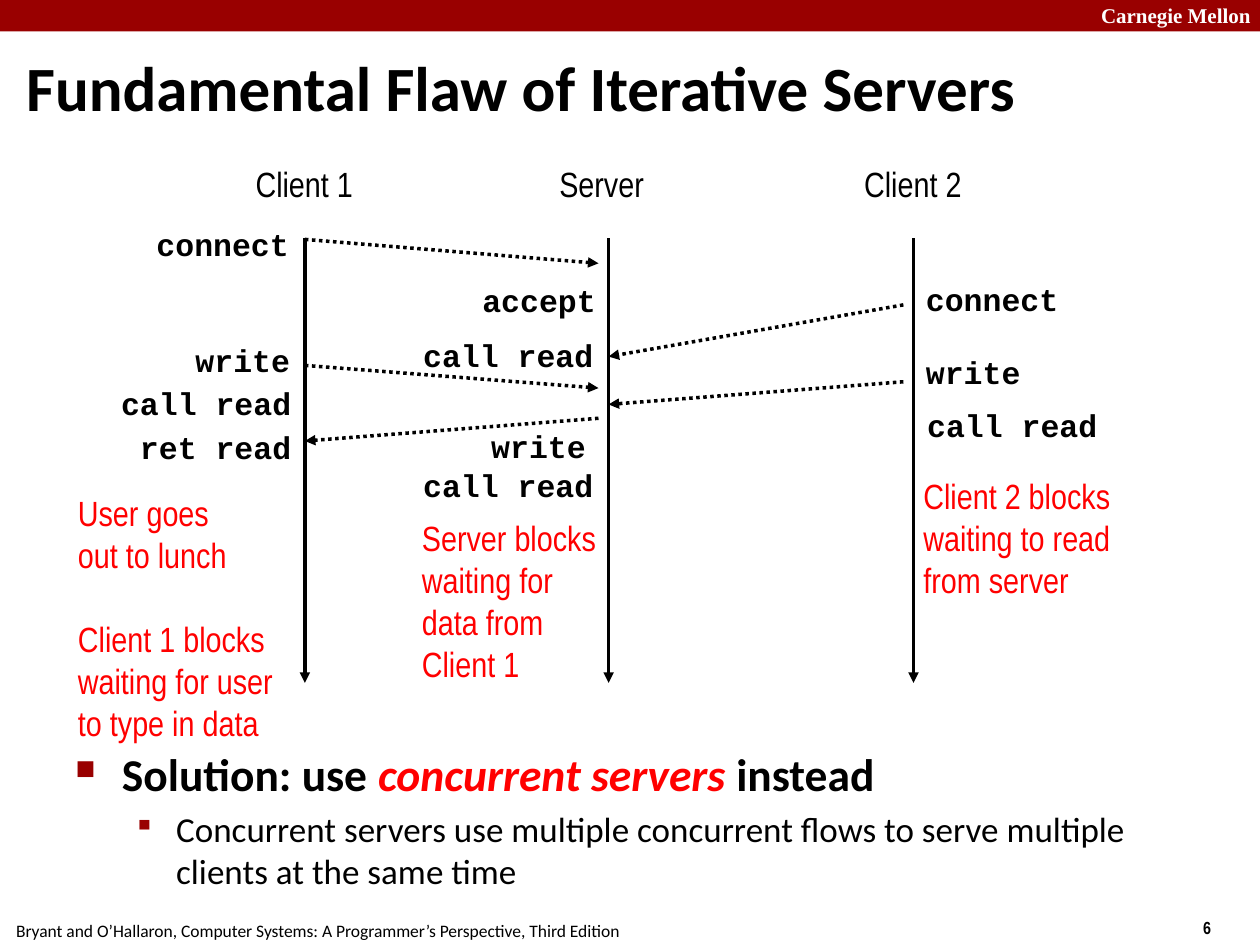
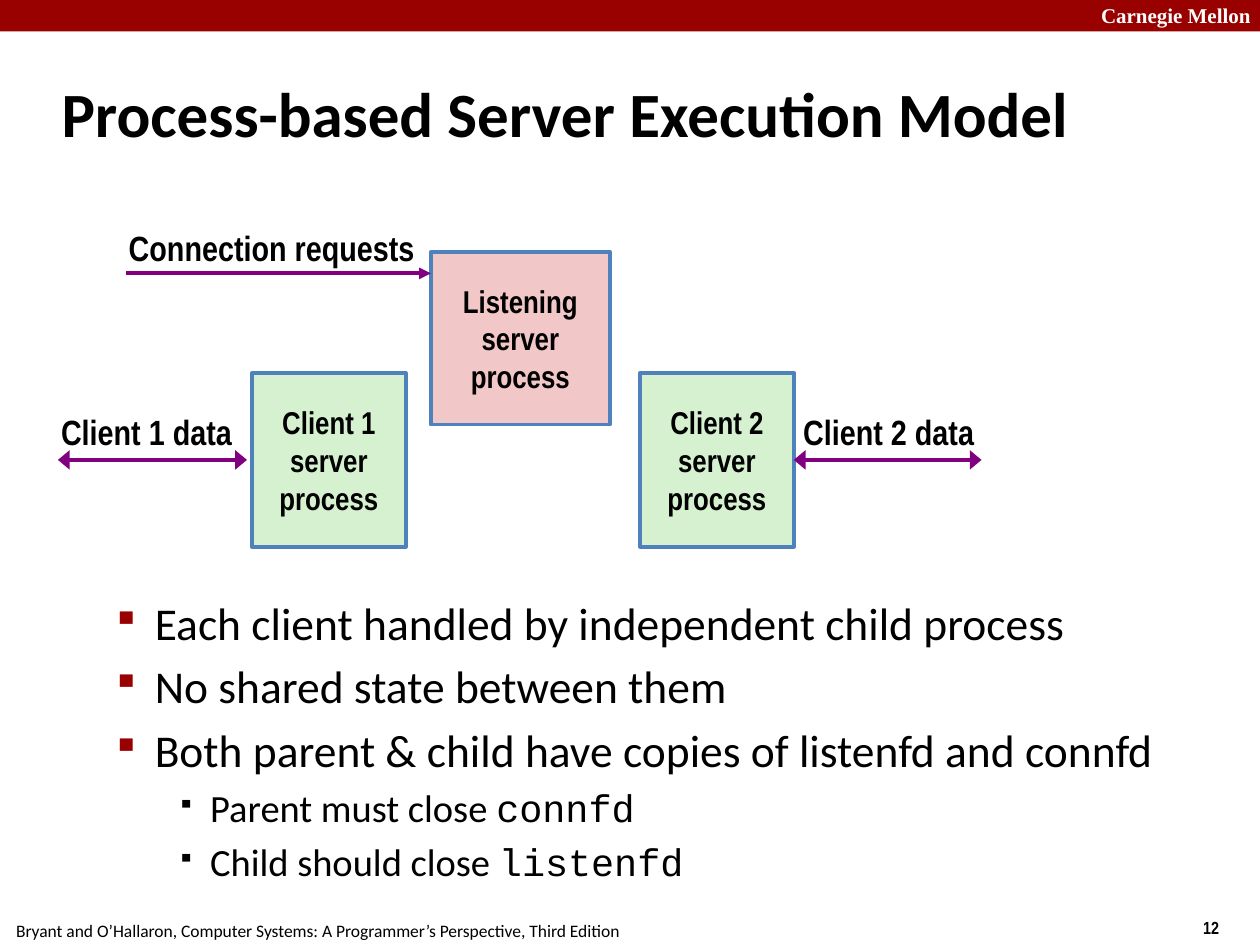
"""Build two slides on iterative and process-based servers."""
from dataclasses import dataclass
from typing import Optional, Sequence

from lxml.etree import SubElement
from pptx import Presentation
from pptx.dml.color import RGBColor
from pptx.enum.dml import MSO_LINE_DASH_STYLE as Dash
from pptx.enum.shapes import MSO_CONNECTOR as ConnectorKind, MSO_SHAPE as ShapeKind
from pptx.enum.text import MSO_ANCHOR as Anchor, PP_ALIGN as Align
from pptx.oxml.ns import qn
from pptx.shapes.autoshape import Shape
from pptx.shapes.connector import Connector
from pptx.slide import Slide
from pptx.util import Inches, Pt

COLORS = {
    "band": "990000", "white": "FFFFFF", "black": "000000", "red": "FF0000",
    "purple": "800080", "outline": "4F81BD", "green": "D5F1CF", "pink": "F1C7C7",
}
SANS, NARROW, MONO, SERIF = "Calibri", "Arial Narrow", "Courier New", "Times New Roman"
FOOTER = "Bryant and O’Hallaron, Computer Systems: A Programmer’s Perspective, Third Edition"


@dataclass(frozen=True)
class Style:
    size: float
    font: str = NARROW
    color: str = "black"
    bold: bool = False
    italic: bool = False


@dataclass(frozen=True)
class Run:
    text: str
    style: Style


@dataclass(frozen=True)
class Bullet:
    symbol: str
    color: str
    percent: int
    margin: float
    hanging: float


@dataclass(frozen=True)
class Line:
    runs: Sequence[Run]
    before: float = 0
    bullet: Optional[Bullet] = None


@dataclass(frozen=True)
class Box:
    left: float
    top: float
    width: float
    height: float


@dataclass(frozen=True)
class Call:
    name: str
    left: float
    top: float


@dataclass(frozen=True)
class Arrow:
    x1: float
    y1: float
    x2: float
    y2: float


@dataclass(frozen=True)
class Process:
    name: str
    box: Box
    fill: str


TITLE = Style(36, SANS, bold=True)
LABEL = Style(20)
BOLD_LABEL = Style(20, bold=True)
NOTE = Style(20, color="red")
CODE = Style(18, MONO, bold=True)
PROCESS = Style(18, bold=True)
RED_BULLET = Bullet("▪", "band", 85, 0.81, 0.34)
BLACK_BULLET = Bullet("▪", "black", 62, 1.25, 0.26)

CLIENT_1, SERVER, CLIENT_2 = 2.42, 4.83, 7.25
LANE_TOP, LANE_BOTTOM = 1.89, 5.42
BEFORE_SERVER, BEFORE_CLIENT_2 = 4.75, 7.17

LANE_LABELS = [
    ("Client 1", Box(1.93, 1.24, 1.05, 0.43)),
    ("Server", Box(4.34, 1.24, 0.95, 0.43)),
    ("Client 2", Box(6.76, 1.24, 1.05, 0.43)),
]
MESSAGES = [
    Arrow(CLIENT_1, 1.9, BEFORE_SERVER, 2.09),
    Arrow(BEFORE_CLIENT_2, 2.42, SERVER, 2.83),
    Arrow(CLIENT_1, 2.9, BEFORE_SERVER, 3.08),
    Arrow(BEFORE_CLIENT_2, 3.03, SERVER, 3.21),
    Arrow(BEFORE_SERVER, 3.32, CLIENT_1, 3.5),
]
CALLS = [
    Call("connect", 1.14, 1.74), Call("write", 1.45, 2.66),
    Call("call read", 0.86, 3), Call("ret read", 1.01, 3.35),
    Call("accept", 3.73, 2.18), Call("call read", 3.26, 2.62),
    Call("write", 3.8, 3.34), Call("call read", 3.26, 3.65),
    Call("connect", 7.25, 2.17), Call("write", 7.25, 2.75),
    Call("call read", 7.26, 3.17),
]
PROCESSES = [
    Process("Client 1", Box(2, 2.96, 1.22, 1.38), "green"),
    Process("Client 2", Box(5.08, 2.96, 1.22, 1.38), "green"),
    Process("Listening", Box(3.42, 2, 1.42, 1.37), "pink"),
]
DATA_Y = 3.65


def rgb(name: str) -> RGBColor:
    """Return a named colour."""
    return RGBColor.from_string(COLORS[name])


def lines(style: Style, *texts: str) -> list[Line]:
    """Return one plain line for each text."""
    return [Line([Run(text, style)]) for text in texts]


def add_bullet(paragraph, bullet: Bullet) -> None:
    """Give a paragraph its bullet and hanging indent."""
    properties = paragraph._p.get_or_add_pPr()
    properties.set("marL", str(Inches(bullet.margin)))
    properties.set("indent", str(-Inches(bullet.hanging)))
    color = SubElement(properties, qn("a:buClr"))
    SubElement(color, qn("a:srgbClr"), val=COLORS[bullet.color])
    SubElement(properties, qn("a:buSzPct"), val=str(bullet.percent * 1000))
    SubElement(properties, qn("a:buChar"), char=bullet.symbol)


def write(shape: Shape, content: Sequence[Line], wrap: bool = False, align: Align = Align.LEFT,
          anchor: Anchor = Anchor.TOP) -> None:
    """Fill a shape with lines of styled runs."""
    frame = shape.text_frame
    frame.word_wrap = wrap
    frame.vertical_anchor = anchor
    frame.margin_left = frame.margin_right = Inches(0.1)
    frame.margin_top = frame.margin_bottom = Inches(0.05)
    for index, line in enumerate(content):
        paragraph = frame.add_paragraph() if index else frame.paragraphs[0]
        paragraph.alignment = align
        if line.bullet:
            add_bullet(paragraph, line.bullet)
        if line.before:
            paragraph.space_before = Pt(line.before)
        for part in line.runs:
            run = paragraph.add_run()
            run.text = part.text
            font = run.font
            font.name, font.size = part.style.font, Pt(part.style.size)
            font.bold, font.italic = part.style.bold, part.style.italic
            font.color.rgb = rgb(part.style.color)


def place(box: Box) -> tuple[Inches, Inches, Inches, Inches]:
    """Return a box as lengths."""
    return Inches(box.left), Inches(box.top), Inches(box.width), Inches(box.height)


def add_text(slide: Slide, box: Box, content: Sequence[Line], **layout) -> None:
    """Add a text box."""
    write(slide.shapes.add_textbox(*place(box)), content, **layout)


def add_rectangle(slide: Slide, box: Box, fill: str, outline: Optional[str] = None) -> Shape:
    """Add a flat rectangle."""
    shape = slide.shapes.add_shape(ShapeKind.RECTANGLE, *place(box))
    shape.shadow.inherit = False
    shape.fill.solid()
    shape.fill.fore_color.rgb = rgb(fill)
    if outline:
        shape.line.color.rgb = rgb(outline)
        shape.line.width = Pt(2.25)
    else:
        shape.line.fill.background()
    return shape


def add_arrow(slide: Slide, arrow: Arrow, color: str = "black", width: float = 2,
              dotted: bool = False, double: bool = False) -> Connector:
    """Add a straight arrow, with wide heads at both ends if double."""
    connector = slide.shapes.add_connector(
        ConnectorKind.STRAIGHT, Inches(arrow.x1), Inches(arrow.y1),
        Inches(arrow.x2), Inches(arrow.y2))
    connector.line.color.rgb = rgb(color)
    connector.line.width = Pt(width)
    if dotted:
        connector.line.dash_style = Dash.ROUND_DOT
    line = connector.line._get_or_add_ln()
    for end in ("a:headEnd", "a:tailEnd") if double else ("a:tailEnd",):
        SubElement(line, qn(end), type="triangle", w="lg" if double else "med", len="med")
    SubElement(connector._element.spPr, qn("a:effectLst"))
    return connector


def add_slide(presentation, title: str, title_box: Box, number: int) -> Slide:
    """Add a slide with its band, title, footer and number."""
    slide = presentation.slides.add_slide(presentation.slide_layouts[6])
    add_rectangle(slide, Box(0, 0, 10, 0.25), "band")
    add_text(slide, Box(8.64, -0.03, 1.43, 0.3),
             lines(Style(12, SERIF, "white", True), "Carnegie Mellon"), wrap=True)
    add_text(slide, Box(9.45, 7.23, 0.55, 0.27), lines(Style(10, bold=True), str(number)), wrap=True)
    add_text(slide, Box(0.03, 7.25, 5.1, 0.27), lines(Style(10, SANS), FOOTER))
    add_text(slide, title_box, lines(TITLE, title), wrap=True, anchor=Anchor.MIDDLE)
    return slide


def build_flaw_slide(presentation) -> None:
    """Build the timeline of two clients and an iterative server."""
    slide = add_slide(presentation, "Fundamental Flaw of Iterative Servers",
                      Box(0.11, 0.37, 9.83, 0.63), 6)
    strong = Style(26, SANS, bold=True)
    solution = [
        Line([Run("Solution: use ", strong),
              Run("concurrent servers ", Style(26, SANS, "red", True, True)),
              Run("instead", strong)], bullet=Bullet("■", "band", 60, 0.38, 0.37)),
        Line([Run("Concurrent servers use multiple concurrent flows to serve multiple "
                  "clients at the same time", Style(20, SANS))], before=4, bullet=RED_BULLET),
    ]
    add_text(slide, Box(0.49, 5.87, 9.26, 1.26), solution, wrap=True)

    client_1_note = [
        *lines(NOTE, "User goes", "out to lunch"),
        Line([Run("Client 1 blocks", NOTE)], before=24),
        *lines(NOTE, "waiting for user", "to type in data"),
    ]
    add_text(slide, Box(0.52, 3.85, 1.85, 1.97), client_1_note)
    add_text(slide, Box(7.23, 3.72, 1.85, 1.1),
             lines(NOTE, "Client 2 blocks", "waiting to read", "from server"))
    add_text(slide, Box(3.25, 4.05, 1.65, 1.43),
             lines(NOTE, "Server blocks", "waiting for", "data from", "Client 1"))

    for name, box in LANE_LABELS:
        add_text(slide, box, lines(LABEL, name))
    for lane in (CLIENT_1, SERVER, CLIENT_2):
        add_arrow(slide, Arrow(lane, LANE_TOP, lane, LANE_BOTTOM))
    for message in MESSAGES:
        add_arrow(slide, message, dotted=True)
    for call in CALLS:
        box = Box(call.left, call.top, 0.15 * len(call.name) + 0.2, 0.4)
        align = Align.RIGHT if call.left < CLIENT_1 else Align.LEFT
        add_text(slide, box, lines(CODE, call.name), align=align)


def build_process_slide(presentation) -> None:
    """Build the diagram of a listening process and its children."""
    slide = add_slide(presentation, "Process-based Server Execution Model",
                      Box(0.39, 0.48, 8.4, 0.83), 12)
    points = ["Each client handled by independent child process", "No shared state between them",
              "Both parent & child have copies of listenfd and connfd"]
    closes = [("Parent must close ", "connfd"), ("Child should close ", "listenfd")]
    content = [Line([Run(point, Style(26, SANS))], 5.2 if index else 0, RED_BULLET)
               for index, point in enumerate(points)]
    content += [Line([Run(duty, Style(22, SANS)), Run(name, Style(22, MONO))], 4.4, BLACK_BULLET)
                for duty, name in closes]
    add_text(slide, Box(0.32, 4.67, 9.08, 2.21), content, wrap=True)

    shapes = {}
    for process in PROCESSES:
        shape = add_rectangle(slide, process.box, process.fill, "outline")
        write(shape, lines(PROCESS, process.name, "server", "process"),
              align=Align.CENTER, anchor=Anchor.MIDDLE)
        shapes[process.name] = shape

    add_arrow(slide, Arrow(1, 2.17, 3.42, 2.17), "purple", 2.25)
    add_arrow(slide, Arrow(0.46, DATA_Y, 1.96, DATA_Y), "purple", 2.25, double=True)
    client_2_data = add_arrow(slide, Arrow(7.79, DATA_Y, 6.3, DATA_Y), "purple", 2.25, double=True)
    client_2_data.end_connect(shapes["Client 2"], 3)
    for name, box in [("Connection requests", Box(0.87, 1.75, 2.52, 0.43)),
                      ("Client 1 data", Box(0.33, 3.21, 1.61, 0.43)),
                      ("Client 2 data", Box(6.22, 3.21, 1.61, 0.43))]:
        add_text(slide, box, lines(BOLD_LABEL, name), align=Align.RIGHT)


def main() -> None:
    """Build and save the presentation."""
    presentation = Presentation()
    presentation.slide_width, presentation.slide_height = Inches(10), Inches(7.5)
    build_flaw_slide(presentation)
    build_process_slide(presentation)
    presentation.save("out.pptx")


if __name__ == "__main__":
    main()
